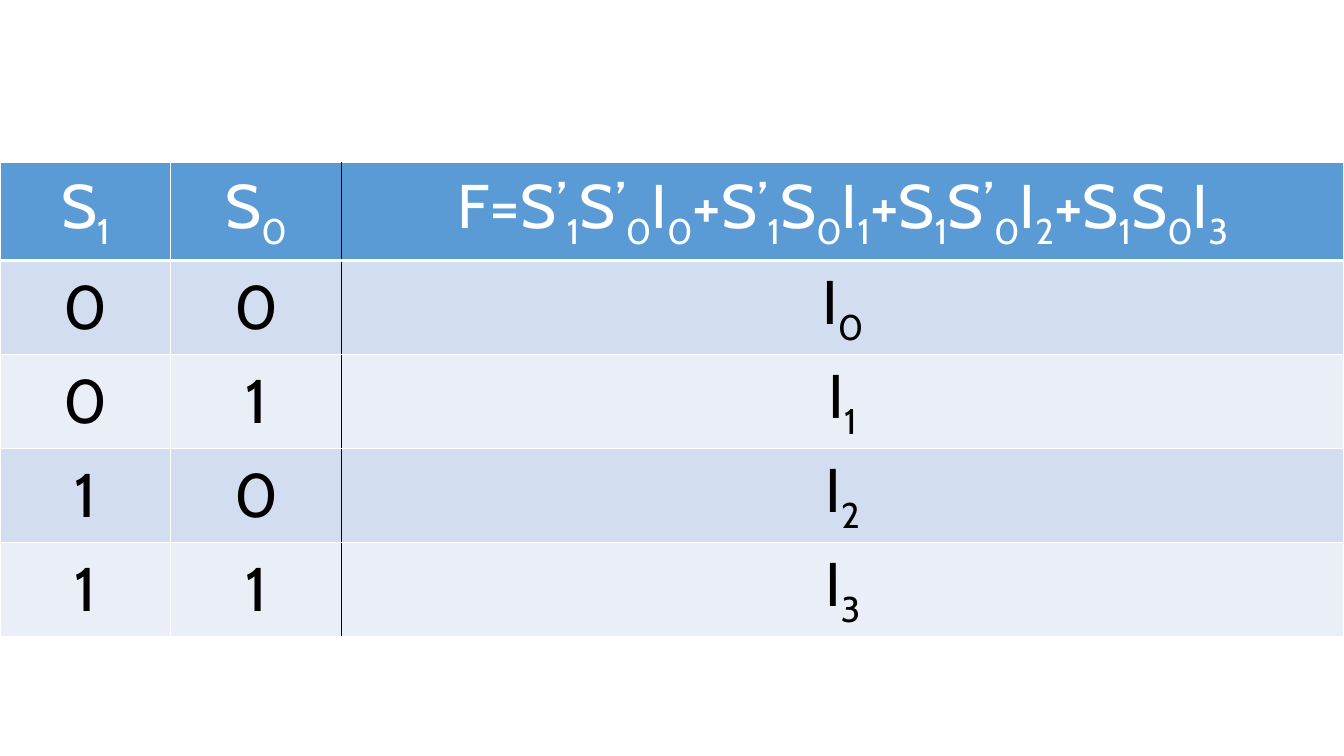
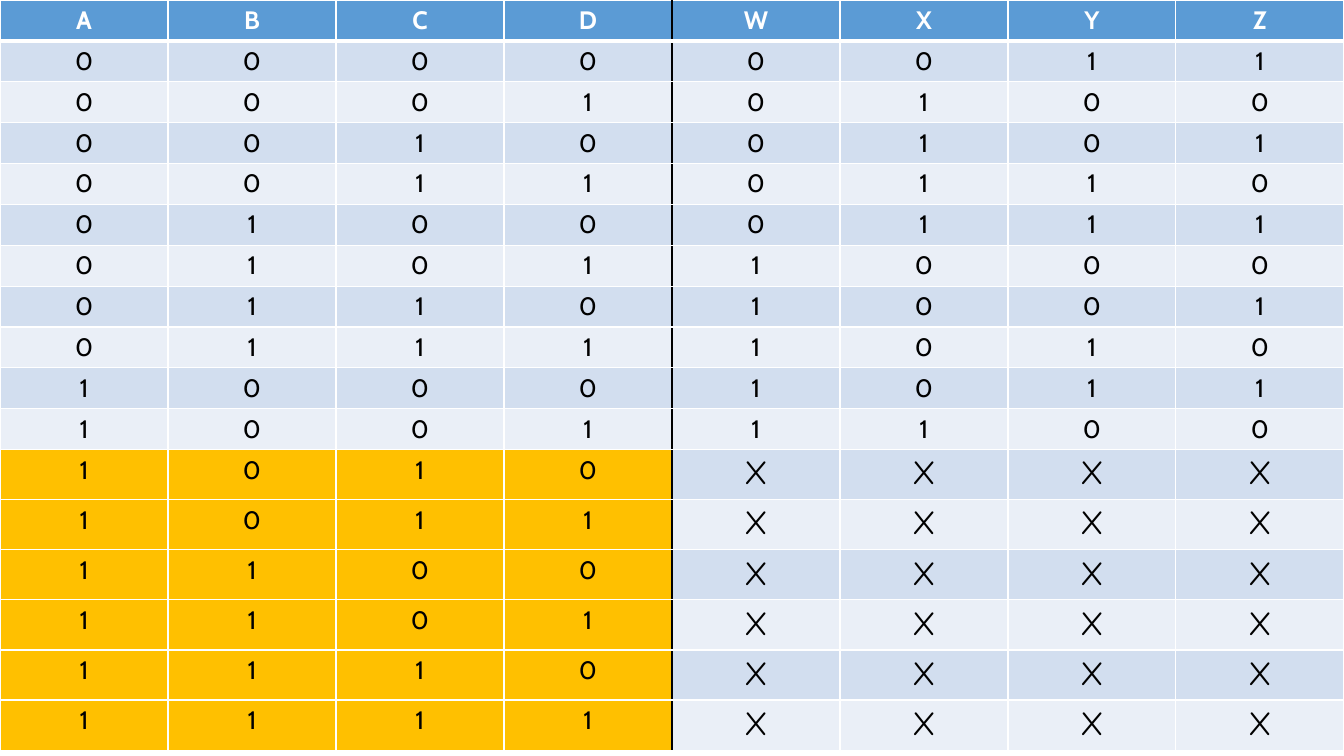
"""Build two truth-table slides: a multiplexer and a BCD to excess-3 code table."""
import pptx
import pptx.dml.color
import pptx.enum.text
import pptx.oxml
import pptx.oxml.ns
import pptx.util
from lxml import etree

Pt = pptx.util.Pt
RGB = pptx.dml.color.RGBColor.from_string
qn = pptx.oxml.ns.qn

COLORS = {
    "header": "5B9BD5",
    "odd": "D2DEEF",
    "even": "EAEFF7",
    "unused": "FFC000",
    "white": "FFFFFF",
    "black": "000000",
}
SLIDE_WIDTH, SLIDE_HEIGHT = 960, 540


def add_border(cell, side, color, width):
    line = etree.SubElement(cell._tc.get_or_add_tcPr(), qn(f"a:ln{side}"), w=str(Pt(width)))
    fill = etree.SubElement(line, qn("a:solidFill"))
    etree.SubElement(fill, qn("a:srgbClr"), val=color)


def add_span(para, text, style, color, subscript=False):
    span = para.add_run()
    span.text = text
    for name, value in style.items():
        setattr(span.font, name, value)
    span.font.color.rgb = RGB(color)
    if subscript:
        span._r.get_or_add_rPr().set("baseline", "-25000")


large = {"name": "Cabin", "size": Pt(44), "bold": False}
small = {"name": "Cabin", "size": Pt(18), "bold": False}
dont_care = {"name": "Comic Neue", "size": Pt(24), "bold": False}

selector_rows = [["S_1", "S_0", "F=S’_1S’_0I_0+S’_1S_0I_1+S_1S’_0I_2+S_1S_0I_3"]]
for value in range(4):
    selector_rows.append([*f"{value:02b}", f"I_{value}"])

code_rows = [list("ABCDWXYZ")]
for value in range(16):
    output = f"{value + 3:04b}" if value < 10 else "XXXX"
    code_rows.append([*f"{value:04b}", *output])

tables = [
    {
        "rows": selector_rows,
        "top": 116,
        "widths": [122, 122, 716],
        "heights": [70] + [67] * 4,
        "inputs": 2,
        "anchor": pptx.enum.text.MSO_ANCHOR.MIDDLE,
        "style": large,
        "header_style": large,
    },
    {
        "rows": code_rows,
        "top": 0,
        "widths": [SLIDE_WIDTH / 8] * 8,
        "heights": [29.2] * 11 + [35.8] * 6,
        "inputs": 4,
        "anchor": pptx.enum.text.MSO_ANCHOR.TOP,
        "style": small,
        "header_style": {**small, "bold": True},
    },
]

deck = pptx.Presentation()
deck.slide_width, deck.slide_height = Pt(SLIDE_WIDTH), Pt(SLIDE_HEIGHT)

for layout in tables:
    page = deck.slides.add_slide(deck.slide_layouts[6])
    rows, inputs = layout["rows"], layout["inputs"]
    table = page.shapes.add_table(
        len(rows), len(rows[0]), 0, Pt(layout["top"]),
        Pt(SLIDE_WIDTH), Pt(sum(layout["heights"])),
    ).table
    table.first_row = table.horz_banding = False
    for column, width in zip(table.columns, layout["widths"]):
        column.width = Pt(width)
    for row, height in zip(table.rows, layout["heights"]):
        row.height = Pt(height)

    for row_index, texts in enumerate(rows):
        is_header = row_index == 0
        band = "header" if is_header else "odd" if row_index % 2 else "even"
        for column_index, text in enumerate(texts):
            cell = table.cell(row_index, column_index)
            cell.vertical_anchor = layout["anchor"]
            left = "black" if column_index == inputs else "white"
            right = "black" if column_index == inputs - 1 else "white"
            add_border(cell, "L", COLORS[left], 1)
            add_border(cell, "R", COLORS[right], 1)
            add_border(cell, "T", COLORS["white"], 3 if row_index == 1 else 1)
            add_border(cell, "B", COLORS["white"], 3 if is_header else 1)

            is_unused = texts[-1] == "X" and column_index < inputs
            cell.fill.solid()
            cell.fill.fore_color.rgb = RGB(COLORS["unused" if is_unused else band])

            style = layout["header_style"] if is_header else layout["style"]
            if text == "X" and not is_header:
                style = dont_care
            color = COLORS["white" if is_header else "black"]
            para = cell.text_frame.paragraphs[0]
            para.alignment = pptx.enum.text.PP_ALIGN.CENTER
            first, *pieces = text.split("_")
            add_span(para, first, style, color)
            for piece in pieces:
                add_span(para, piece[0], style, color, subscript=True)
                if piece[1:]:
                    add_span(para, piece[1:], style, color)

deck.save("out.pptx")
